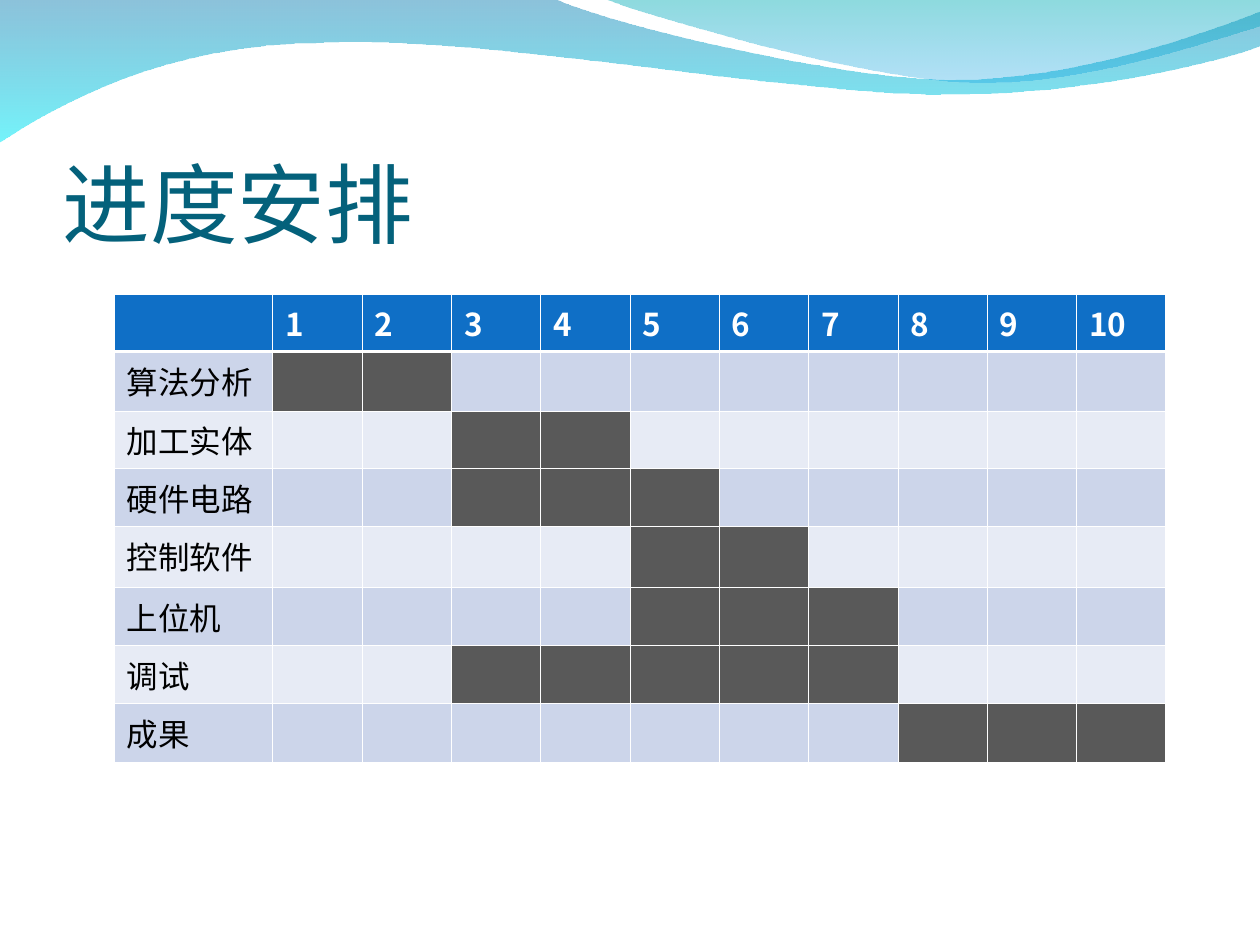
import pptx
import pptx.dml.color
import pptx.enum.text
import pptx.oxml
import pptx.oxml.ns
import pptx.util

Pt = pptx.util.Pt
RGBColor = pptx.dml.color.RGBColor
qn = pptx.oxml.ns.qn
SPACE = pptx.oxml.ns.nsdecls("a")

WHITE = RGBColor(0xFF, 0xFF, 0xFF)
BLACK = RGBColor(0, 0, 0)
TITLE = RGBColor(0x04, 0x61, 0x7B)
HEADER = RGBColor(0x0F, 0x6F, 0xC6)
BANDS = RGBColor(0xCC, 0xD5, 0xEA), RGBColor(0xE7, 0xEB, 0xF5)
BUSY = RGBColor(0x59, 0x59, 0x59)
NAVY = RGBColor(0x00, 0x79, 0xAF)
CYAN = RGBColor(0x00, 0xEB, 0xF8)
TEAL = RGBColor(0x00, 0xAD, 0xB6)
AZURE = RGBColor(0x00, 0x9B, 0xE5)

WEEKS = 10
TASKS = [
    ("算法分析", 1, 2),
    ("加工实体", 3, 4),
    ("硬件电路", 3, 5),
    ("控制软件", 5, 6),
    ("上位机", 5, 7),
    ("调试", 3, 7),
    ("成果", 8, 10),
]
HEIGHTS = [32.8, 34, 33.1, 33.1, 34.9, 33.1, 33.1, 33.7]

LONG_WAVE = [
    [(0, -0.7)],
    [(316.8, -0.7)],
    [(342.7, 12.2), (478.1, 45.4), (545.8, 45.4)],
    [(614.2, 45.4), (689.8, 18.7), (720, 6.5)],
    [(720.7, 25.9)],
    [(707.8, 31.7), (626.4, 54.7), (537.1, 54)],
    [(447.8, 54), (275, 20.2), (185, 24.5)],
    [(92.9, 25.2), (33.1, 59.8), (-0.7, 81.4)],
    [(0, -0.7)],
]
SHORT_WAVE = [
    [(344.9, -0.7)],
    [(366.5, 7.9), (491, 44.6), (553.7, 46.8)],
    [(616.3, 49.7), (691.9, 23), (720, 15.1)],
    [(720, 0)],
    [(344.9, -0.7)],
]


def bend(wave, curves):
    lines = wave._element.iter(qn("a:lnTo"))
    lines = iter(list(lines))
    for curve in curves:
        group = [next(lines) for _ in curve]
        if len(group) == 3:
            bezier = pptx.oxml.parse_xml(f"<a:cubicBezTo {SPACE}/>")
            group[0].addprevious(bezier)
            for line in group:
                bezier.append(line[0])
                line.getparent().remove(line)


def add_wave(slide, curves, stops):
    start, *rest = curves
    left, top = start[0]
    builder = slide.shapes.build_freeform(Pt(left), Pt(top))
    builder.add_line_segments([(Pt(x), Pt(y)) for curve in rest for x, y in curve])
    wave = builder.convert_to_shape()
    bend(wave, rest)
    wave.shadow.inherit = False
    wave.line.fill.background()
    wave.fill.gradient()
    wave.fill.gradient_angle = 270
    tags = wave._element.iter(qn("a:gs"))
    for stop, tag, (place, color, alpha) in zip(wave.fill.gradient_stops, tags, stops):
        stop.position = place
        stop.color.rgb = color
        for child in list(tag[0]):
            tag[0].remove(child)
        tag[0].append(pptx.oxml.parse_xml(f'<a:alpha {SPACE} val="{alpha * 1000}"/>'))


def set_font(item, name, size, color, bold=False):
    font = item.font
    font.name, font.size, font.bold = name, Pt(size), bold
    font.color.rgb = color


def add_title(slide, text):
    box = slide.shapes.add_textbox(Pt(36), Pt(55.8), Pt(648), Pt(90))
    frame = box.text_frame
    frame.word_wrap = True
    frame.vertical_anchor = pptx.enum.text.MSO_ANCHOR.BOTTOM
    frame.margin_left = frame.margin_right = frame.margin_bottom = 0
    frame.margin_top = Pt(3.6)
    frame.text = text
    set_font(frame.paragraphs[0], "Times New Roman", 50, TITLE)


def add_border(cell, row):
    thick = {"T": row == 1, "B": row == 0}
    for side in "LRTB":
        width = Pt(1.47 if thick.get(side) else 0.45)
        cell._tc.get_or_add_tcPr().append(pptx.oxml.parse_xml(
            f'<a:ln{side} {SPACE} w="{width}">'
            f'<a:solidFill><a:srgbClr val="{WHITE}"/></a:solidFill></a:ln{side}>'))


def fill_cell(cell, row, color, text=""):
    add_border(cell, row)
    cell.fill.solid()
    cell.fill.fore_color.rgb = color
    if text:
        cell.text = text
        line = cell.text_frame.paragraphs[0]
        if row == 0:
            set_font(line, "Noto Sans CJK SC", 18, WHITE, True)
        else:
            set_font(line, "Vollkorn", 18, BLACK)


def add_plan(slide):
    frame = slide.shapes.add_table(len(TASKS) + 1, WEEKS + 1,
                                   Pt(65.3), Pt(168), Pt(601.1), Pt(sum(HEIGHTS)))
    table = frame.table
    for index, column in enumerate(table.columns):
        column.width = Pt(51.05 if index else 90.6)
    for row, height in zip(table.rows, HEIGHTS):
        row.height = Pt(height)
    for week in range(WEEKS + 1):
        fill_cell(table.cell(0, week), 0, HEADER, str(week) if week else "")
    for row, (task, first, last) in enumerate(TASKS, 1):
        band = BANDS[(row - 1) % 2]
        fill_cell(table.cell(row, 0), row, band, task)
        for week in range(1, WEEKS + 1):
            fill_cell(table.cell(row, week), row, BUSY if first <= week <= last else band)


def main():
    deck = pptx.Presentation()
    deck.slide_width, deck.slide_height = Pt(720), Pt(540)
    slide = deck.slides.add_slide(deck.slide_layouts[6])
    add_wave(slide, LONG_WAVE, [(0, NAVY, 45), (1, CYAN, 55)])
    add_wave(slide, SHORT_WAVE, [(0, TEAL, 45), (1, AZURE, 30)])
    add_title(slide, "进度安排")
    add_plan(slide)
    deck.save("out.pptx")


if __name__ == "__main__":
    main()
